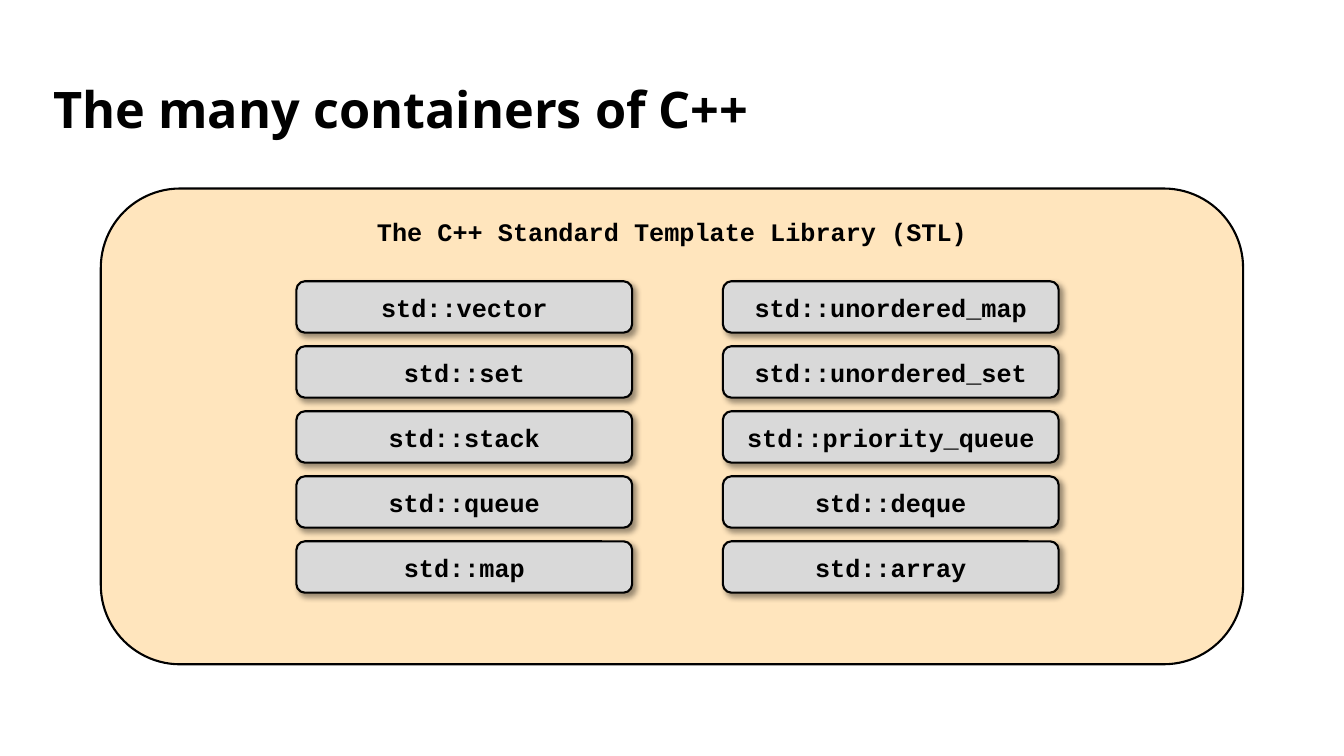
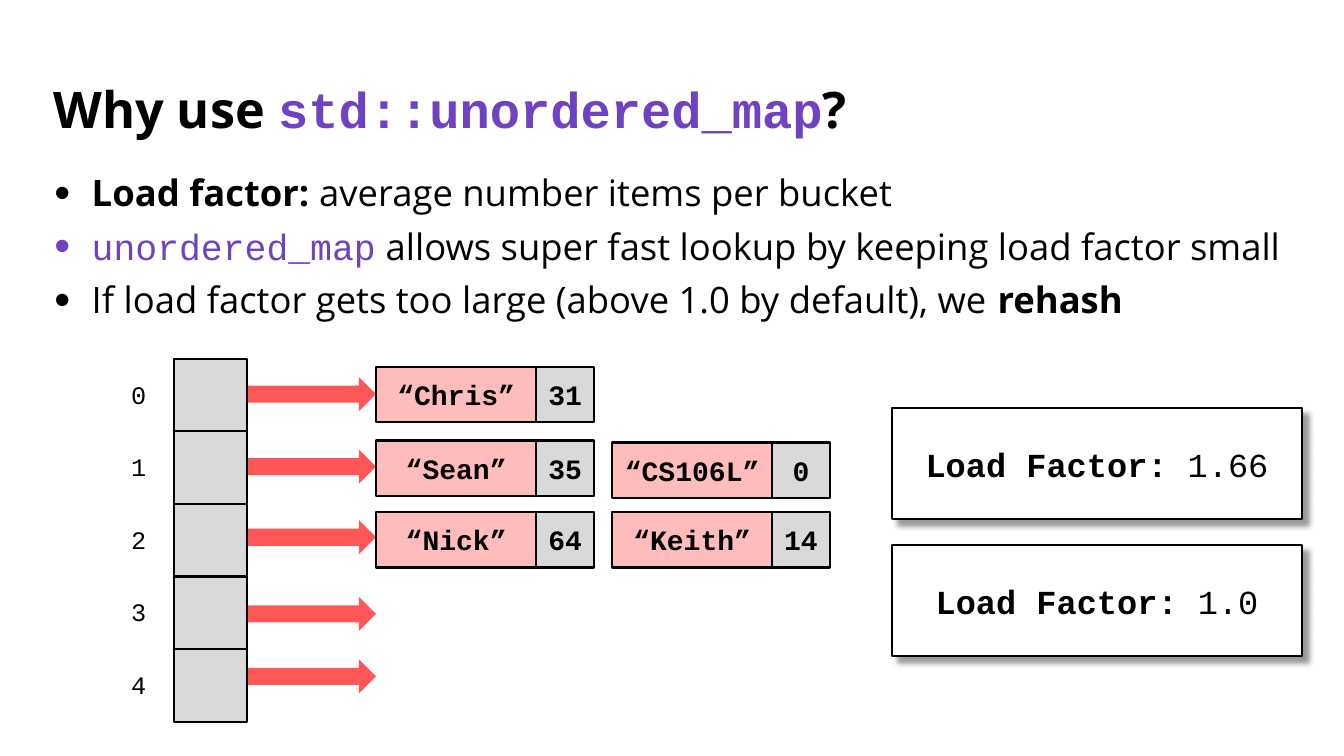
from lxml import etree
from pptx import Presentation
from pptx.dml.color import RGBColor
from pptx.enum.shapes import MSO_SHAPE
from pptx.enum.text import MSO_ANCHOR, MSO_AUTO_SIZE, PP_ALIGN
from pptx.oxml.ns import qn
from pptx.util import Inches, Pt

RECT, ROUND, ARROW = MSO_SHAPE.RECTANGLE, MSO_SHAPE.ROUNDED_RECTANGLE, MSO_SHAPE.RIGHT_ARROW
TOP, MIDDLE = MSO_ANCHOR.TOP, MSO_ANCHOR.MIDDLE
LEFT, CENTER, RIGHT = PP_ALIGN.LEFT, PP_ALIGN.CENTER, PP_ALIGN.RIGHT
NO_FIT = MSO_AUTO_SIZE.NONE

BLACK = RGBColor(0x00, 0x00, 0x00)
WHITE = RGBColor(0xFF, 0xFF, 0xFF)
GRAY = RGBColor(0xD9, 0xD9, 0xD9)
CREAM = RGBColor(0xFF, 0xE5, 0xBD)
PINK = RGBColor(0xFF, 0xBC, 0xBC)
RED = RGBColor(0xFF, 0x57, 0x57)
PURPLE = RGBColor(0x6F, 0x42, 0xC1)
SANS, MONO = "Open Sans", "Courier New"
CODE = dict(font=MONO, color=PURPLE)

TITLE_BOX = (0.43, 0.69, 12.47, 0.84)
BODY_BOX = (0.43, 1.69, 12.47, 5.23)
TITLE_ONLY, TITLE_CONTENT = 5, 1

CONTAINERS = [
    ["std::vector", "std::set", "std::stack", "std::queue", "std::map"],
    ["std::unordered_map", "std::unordered_set", "std::priority_queue",
     "std::deque", "std::array"],
]
BULLETS = [
    [("Load factor: ", dict(bold=True)), ("average number items per bucket", {})],
    [("unordered_map", CODE),
     (" allows super fast lookup by keeping load factor small", {})],
    [("If load factor gets too large (above 1.0 by default), we ", {}),
     ("rehash", dict(bold=True))],
]
ENTRIES = [
    (3.73, 3.64, "“Chris”", "31"),
    (3.73, 4.37, "“Sean”", "35"),
    (6.07, 4.39, "“CS106L”", "0"),
    (3.73, 5.08, "“Nick”", "64"),
    (6.07, 5.08, "“Keith”", "14"),
]
ARROW_TOPS = [3.74, 4.46, 5.16, 5.92, 6.54]


def add_text(p, text, font=SANS, size=18, color=BLACK, bold=False):
    """Append one formatted run to a paragraph."""
    r = p.add_run()
    r.text = text
    r.font.name, r.font.size, r.font.bold = font, Pt(size), bold
    r.font.color.rgb = color


def add_shadow(sp, dist):
    """Give a shape a soft shadow towards the lower right."""
    effects = sp._element.spPr.find(qn("a:effectLst"))
    shadow = etree.SubElement(effects, qn("a:outerShdw"), blurRad=str(Pt(4)),
                              dist=str(Pt(dist)), dir="2700000", algn="tl", rotWithShape="0")
    color = etree.SubElement(shadow, qn("a:srgbClr"), val=str(BLACK))
    etree.SubElement(color, qn("a:alpha"), val="40000")


def add_box(shapes, kind, box, fill, runs=(), anchor=MIDDLE, outlined=True, shadow=0):
    """Add a filled preset shape with centred code text."""
    sp = shapes.add_shape(kind, *map(Inches, box))
    sp.shadow.inherit = False
    sp.fill.solid()
    sp.fill.fore_color.rgb = fill
    if outlined:
        sp.line.color.rgb = BLACK
        sp.line.width = Pt(1.5)
    else:
        sp.line.fill.background()
    if shadow:
        add_shadow(sp, shadow)
    tf = sp.text_frame
    tf.word_wrap, tf.vertical_anchor = True, anchor
    p = tf.paragraphs[0]
    p.alignment = CENTER
    for text, fmt in runs:
        add_text(p, text, font=MONO, **fmt)


def place(sp, box, anchor):
    """Move a placeholder and fix its text frame."""
    sp.left, sp.top, sp.width, sp.height = map(Inches, box)
    tf = sp.text_frame
    tf.word_wrap, tf.auto_size, tf.vertical_anchor = True, NO_FIT, anchor
    return tf


def add_slide(prs, layout, title):
    """Add a slide with its title runs."""
    s = prs.slides.add_slide(prs.slide_layouts[layout])
    p = place(s.shapes.title, TITLE_BOX, MIDDLE).paragraphs[0]
    p.alignment, p.line_spacing = LEFT, 0.9
    for text, fmt in title:
        add_text(p, text, size=36, bold=True, **fmt)
    return s


def add_bullets(s, box, items):
    """Fill the body placeholder with a bulleted list."""
    tf = place(s.placeholders[1], box, TOP)
    for i, runs in enumerate(items):
        p = tf.add_paragraph() if i else tf.paragraphs[0]
        pPr = p._p.get_or_add_pPr()
        pPr.set("marL", str(Inches(0.38)))
        pPr.set("indent", str(Inches(-0.37)))
        etree.SubElement(pPr, qn("a:buSzPct"), val="125000")
        etree.SubElement(pPr, qn("a:buFont"), typeface="Arial")
        etree.SubElement(pPr, qn("a:buChar"), char="•")
        p.line_spacing, p.space_before = 0.9, Pt(10 if i else 0)
        for text, fmt in runs:
            add_text(p, text, size=26, **fmt)


def add_library(s, box):
    """Draw the library panel with its grid of containers."""
    x, y, w, h = box
    heading = [("The C++ Standard Template Library (STL)", dict(bold=True))]
    add_box(s.shapes, ROUND, box, CREAM, heading, anchor=TOP)
    for col, names in enumerate(CONTAINERS):
        for row, name in enumerate(names):
            cell = (x + 1.94 + col * 4.23, y + 0.92 + row * 0.645, 3.33, 0.51)
            add_box(s.shapes, ROUND, cell, GRAY, [(name, dict(bold=True))], shadow=3)


def add_buckets(s, x, y, side):
    """Draw the column of numbered buckets and their arrows."""
    for i, arrow_top in enumerate(ARROW_TOPS):
        top = y + i * side
        add_box(s.shapes, ARROW, (x + 0.37, arrow_top, 1.63, 0.34), RED, outlined=False)
        add_box(s.shapes, RECT, (x, top, side, side), GRAY)
        label = s.shapes.add_textbox(*map(Inches, (x - 0.68, top + 0.15, 0.5, 0.4)))
        tf = label.text_frame
        tf.word_wrap = True
        p = tf.paragraphs[0]
        p.alignment = RIGHT
        add_text(p, str(i), font=MONO)


def add_entry(s, x, y, key, value):
    """Draw one key and value pair as a group."""
    shapes = s.shapes.add_group_shape().shapes
    fmt = dict(size=20, bold=True)
    add_box(shapes, RECT, (x, y, 1.59, 0.55), PINK, [(key, fmt)])
    add_box(shapes, RECT, (x + 1.59, y, 0.57, 0.55), GRAY, [(value, fmt)])


def add_load_factor(s, box, value):
    """Draw a card that states a load factor."""
    runs = [("Load Factor:", dict(size=24, bold=True)), (" " + value, dict(size=24))]
    add_box(s.shapes, RECT, box, WHITE, runs, shadow=6)


def containers_slide(prs):
    """Build the overview of containers."""
    s = add_slide(prs, TITLE_ONLY, [("The many containers of C++", {})])
    add_library(s, (1, 1.87, 11.33, 4.72))


def unordered_map_slide(prs):
    """Build the slide on load factor and rehashing."""
    title = [("Why use ", {}), ("std::unordered_map", CODE), ("?", {})]
    s = add_slide(prs, TITLE_CONTENT, title)
    add_bullets(s, BODY_BOX, BULLETS)
    add_buckets(s, 1.73, 3.56, 0.72)
    for entry in ENTRIES:
        add_entry(s, *entry)
    for i, value in enumerate(["1.66", "1.0"]):
        add_load_factor(s, (8.85, 4.05 + i * 1.36, 4.06, 1.1), value)


def main():
    """Build and save the presentation."""
    prs = Presentation()
    prs.slide_width, prs.slide_height = Inches(13.33), Inches(7.5)
    containers_slide(prs)
    unordered_map_slide(prs)
    prs.save("out.pptx")


if __name__ == "__main__":
    main()
